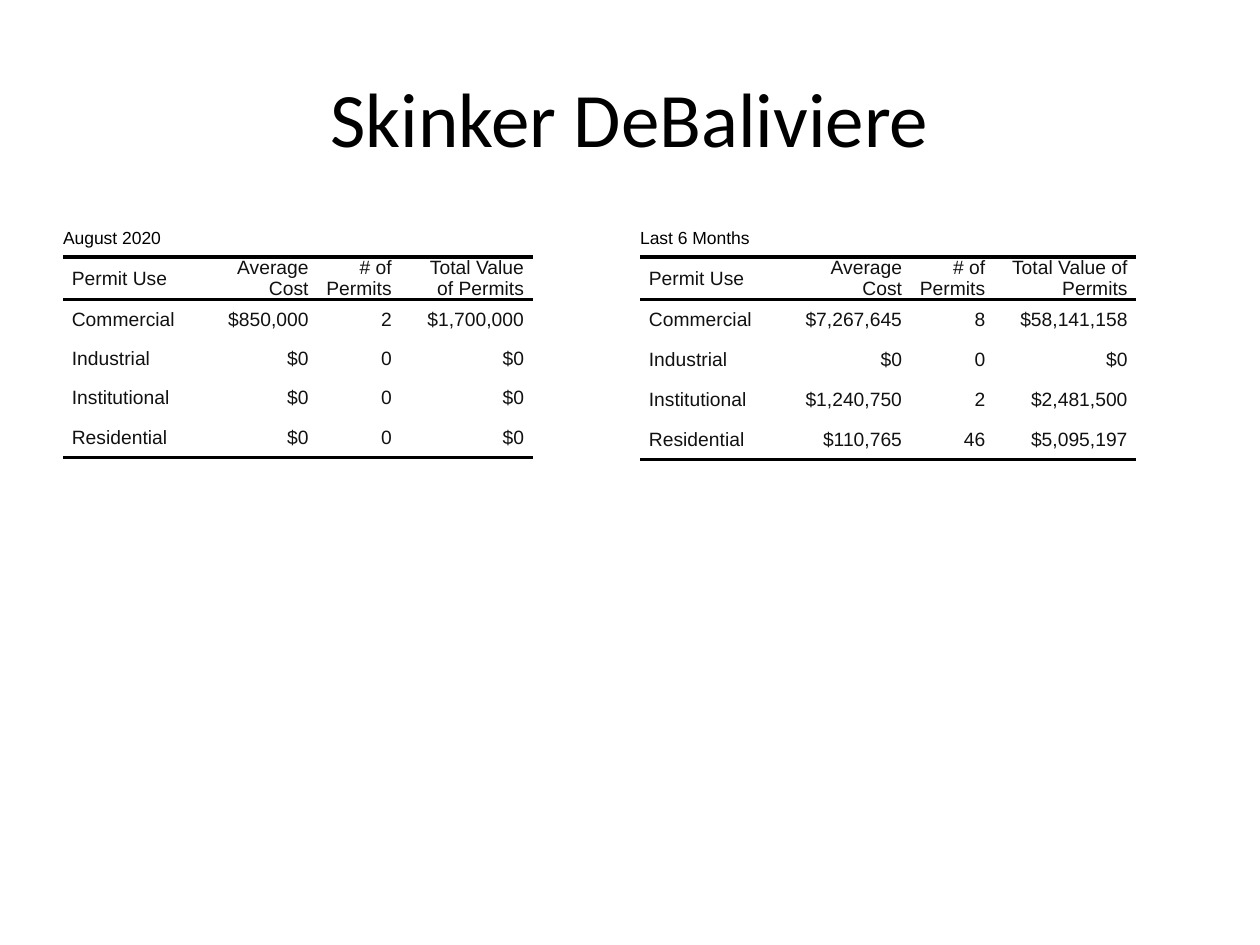
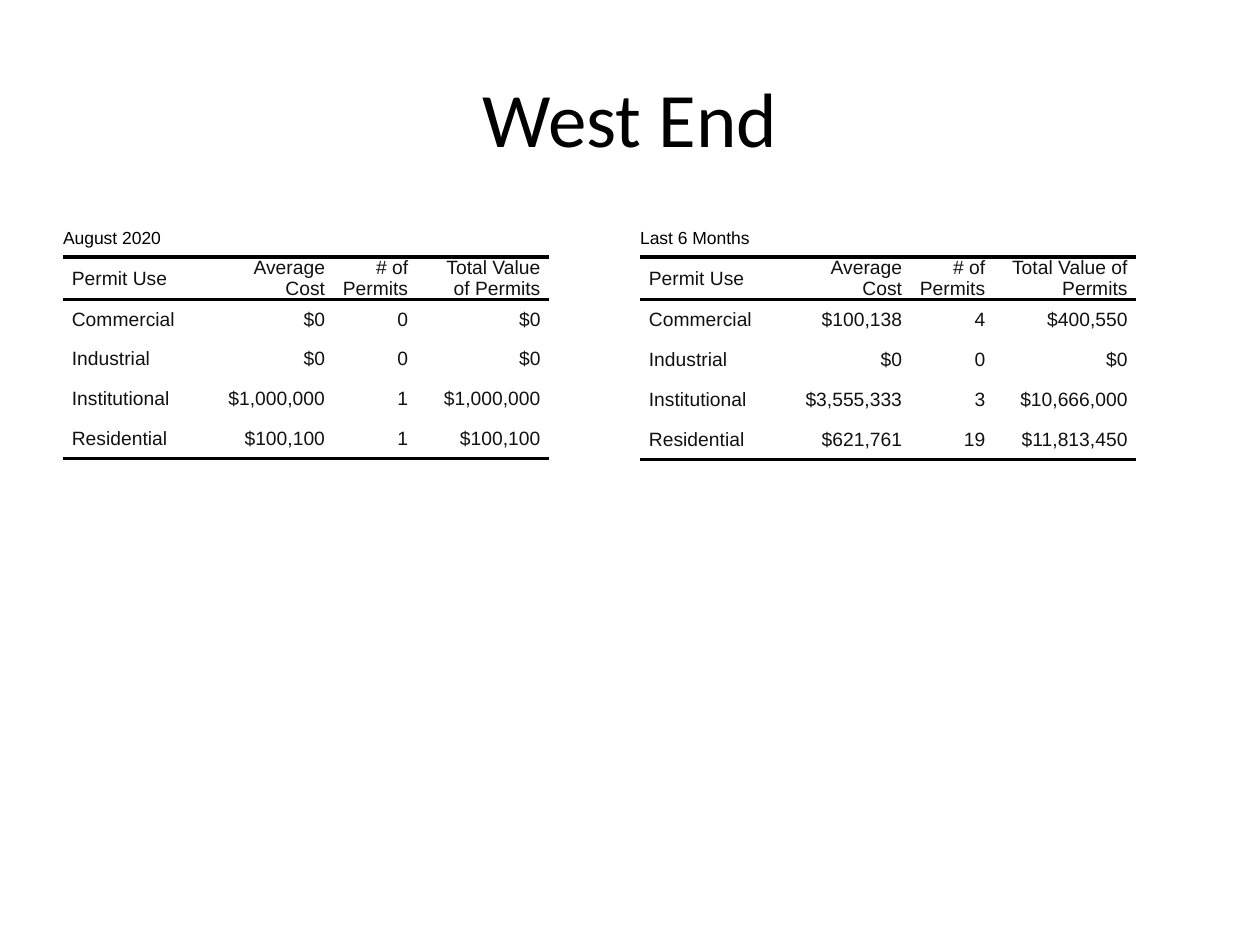
from lxml import etree
from pptx import Presentation
from pptx.dml.color import RGBColor
from pptx.enum.text import MSO_ANCHOR, PP_ALIGN
from pptx.oxml.ns import qn
from pptx.util import Inches, Pt

LEFT, RIGHT, CENTER = PP_ALIGN.LEFT, PP_ALIGN.RIGHT, PP_ALIGN.CENTER
MIDDLE = MSO_ANCHOR.MIDDLE
NO_GRID = "{2D5ABB26-0587-4C30-8999-92F81FD0307C}"
HEAD = ["Permit Use", "Average Cost", "# of Permits", "Total Value of Permits"]
USES = ["Commercial", "Industrial", "Institutional", "Residential"]
ZERO = ("$0", "0", "$0")


def color(code):
    return RGBColor.from_string(code)


class Deck:
    """Slides on a square grid, 100 columns wide and 75 rows high."""
    BLACK, INK = "000000", "111111"
    EDGE, GAP, TOP = 5, 1.6, 17.5
    WIDE, HIGH = (100 - 2 * EDGE - GAP) / 2, 49.5
    HEAD_ROW = 2.9
    PAD = 0.7
    RULE = 2

    def __init__(self):
        self.prs = Presentation()
        self.prs.slide_width, self.prs.slide_height = Inches(10), Inches(7.5)
        self.slide = None

    def grid(self, cells):
        return int(self.prs.slide_width * cells / 100)

    def style(self, par, font, size, ink, align):
        par.alignment = align
        for run in par.runs:
            run.font.name, run.font.size = font, Pt(size)
            run.font.color.rgb = color(ink)

    def page(self, title):
        self.slide = self.prs.slides.add_slide(self.prs.slide_layouts[5])
        box = self.slide.shapes.title
        box.left, box.top = self.grid(self.EDGE), self.grid(3)
        box.width, box.height = self.grid(90), self.grid(12.5)
        frame = box.text_frame
        frame.text, frame.vertical_anchor = title, MIDDLE
        self.style(frame.paragraphs[0], "Calibri", 44, self.BLACK, CENTER)

    def rule(self, cell, side):
        line = etree.SubElement(cell._tc.get_or_add_tcPr(), qn(f"a:ln{side}"),
                                w=str(Pt(self.RULE)))
        fill = etree.SubElement(line, qn("a:solidFill"))
        etree.SubElement(fill, qn("a:srgbClr"), val=self.BLACK)

    def cell(self, cell, text, sides=""):
        cell.margin_left = cell.margin_right = 0
        cell.margin_top = cell.margin_bottom = 0
        cell.vertical_anchor = MIDDLE
        for side in sides:
            self.rule(cell, side)
        cell.fill.background()
        cell.text_frame.text = text
        return cell.text_frame.paragraphs[0]

    def entry(self, cell, text, align, sides):
        par = self.cell(cell, text, sides)
        par.space_before = par.space_after = Pt(2)
        props = par._p.get_or_add_pPr()
        for name in ("marL", "marR"):
            props.set(name, str(self.grid(self.PAD)))
        props.set("indent", "0")
        self.style(par, "Arial", 11, self.INK, align)

    def table(self, side, label, widths, row, values):
        """Place a permit table in the left (0) or right (1) half."""
        rows = [HEAD] + [[use, *nums] for use, nums in zip(USES, values)]
        left = self.EDGE + side * (self.WIDE + self.GAP)
        spot = [self.grid(n) for n in (left, self.TOP, self.WIDE, self.HIGH)]
        frame = self.slide.shapes.add_table(len(rows) + 1, len(HEAD), *spot)
        table = frame.table
        table.first_row = table.horz_banding = False
        table._tbl.tblPr.find(qn("a:tableStyleId")).text = NO_GRID
        for col, width in zip(table.columns, widths):
            col.width = self.grid(width)
        for i, line in enumerate(table.rows):
            line.height = self.grid(self.HEAD_ROW if i < 2 else row)
        frame.width, frame.height = spot[2:]

        table.cell(0, 0).merge(table.cell(0, len(HEAD) - 1))
        par = self.cell(table.cell(0, 0), label)
        self.style(par, "Arial", 10, self.BLACK, LEFT)
        for r, texts in enumerate(rows, 1):
            sides = {1: "TB", len(rows): "B"}.get(r, "")
            for c, text in enumerate(texts):
                self.entry(table.cell(r, c), text, RIGHT if c else LEFT, sides)


AREAS = [
    ("Skinker DeBaliviere", 9.2, 3.12,
     [("$850,000", "2", "$1,700,000"), ZERO, ZERO, ZERO],
     [("$7,267,645", "8", "$58,141,158"), ZERO,
      ("$1,240,750", "2", "$2,481,500"), ("$110,765", "46", "$5,095,197")]),
    ("West End", 10.5, 3.14,
     [ZERO, ZERO, ("$1,000,000", "1", "$1,000,000"),
      ("$100,100", "1", "$100,100")],
     [("$100,138", "4", "$400,550"), ZERO,
      ("$3,555,333", "3", "$10,666,000"), ("$621,761", "19", "$11,813,450")]),
]


def main():
    deck = Deck()
    for name, cost, row, month, half in AREAS:
        deck.page(name)
        deck.table(0, "August 2020", (11, cost, 6.6, 10.5), row, month)
        deck.table(1, "Last 6 Months", (11, 10.5, 6.6, 11.3), 3.17, half)
    deck.prs.save("out.pptx")


if __name__ == "__main__":
    main()
